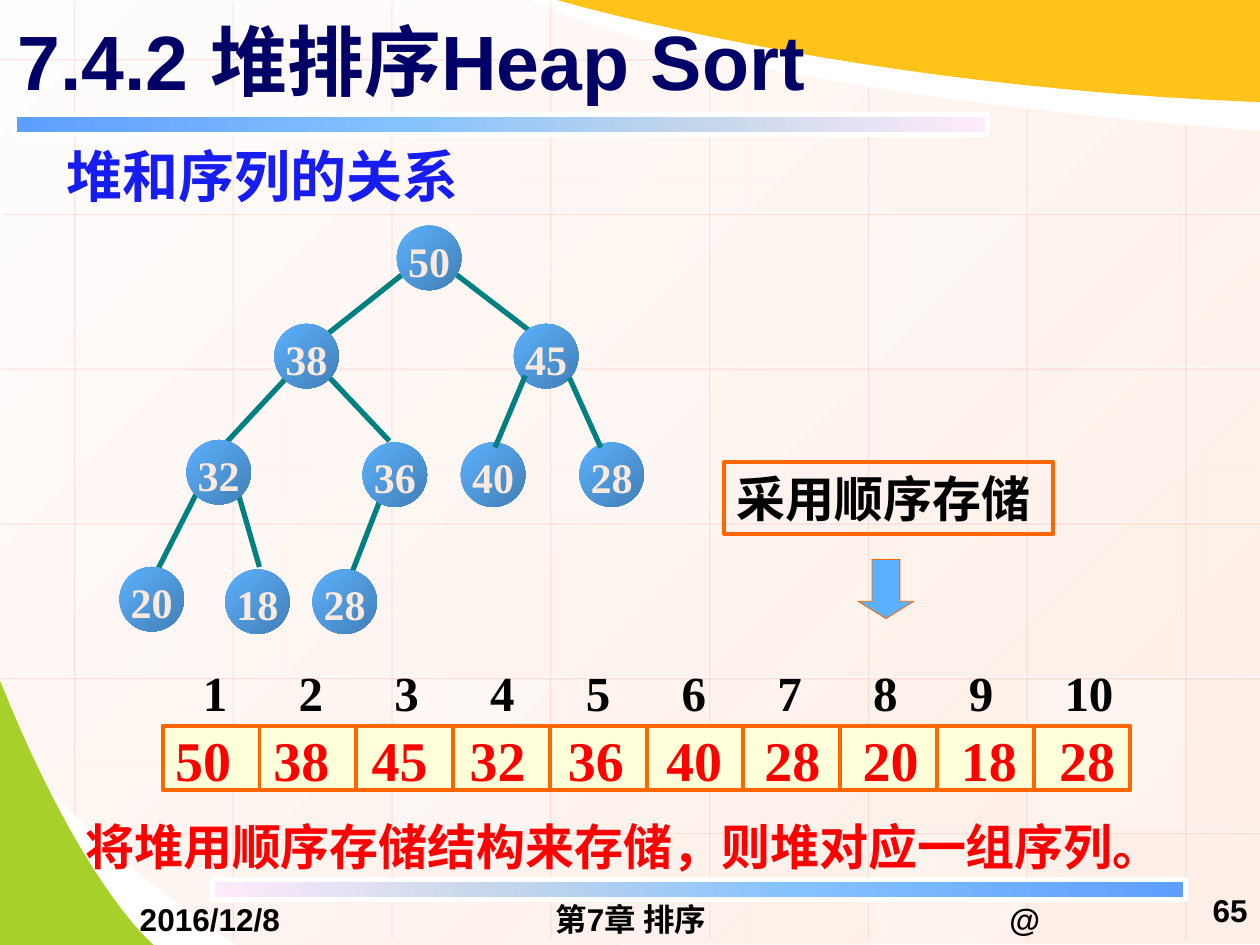
from lxml import etree
from pptx import Presentation
from pptx.dml.color import RGBColor
from pptx.enum.shapes import MSO_CONNECTOR, MSO_SHAPE
from pptx.enum.text import MSO_ANCHOR, PP_ALIGN
from pptx.oxml.ns import qn
from pptx.util import Cm, Pt

RECT, OVAL, DOWN = MSO_SHAPE.RECTANGLE, MSO_SHAPE.OVAL, MSO_SHAPE.DOWN_ARROW
STRAIGHT = MSO_CONNECTOR.STRAIGHT
LEFT, CENTER, RIGHT = PP_ALIGN.LEFT, PP_ALIGN.CENTER, PP_ALIGN.RIGHT
TOP, MIDDLE = MSO_ANCHOR.TOP, MSO_ANCHOR.MIDDLE
SANS, SERIF = "Arial", "Times New Roman"
W, H = 25.4, 19.05

COLORS = {
    "white": "FFFFFF", "black": "000000", "navy": "000066", "blue": "171CEF",
    "red": "FF0000", "orange": "FF6600", "teal": "008080", "cream": "FFFFD9",
    "green": "A8D02A", "gold": "FFC319", "sky": "5CB1FE", "steel": "427FB6",
    "paper": "FFFEFE", "peach": "FEE9DE", "grid_shadow": "FF7575",
    "bar_blue": "5E9EFF", "bar_sky": "85C2FF", "bar_grey": "C4D6EB", "bar_pink": "FFEBFA",
}
BAR_STOPS = [(0, "bar_blue"), (40, "bar_sky"), (70, "bar_grey"), (100, "bar_pink")]


def rgb(name):
    return RGBColor.from_string(COLORS[name])


def add_color(parent, name, alpha=100):
    clr = etree.SubElement(parent, qn("a:srgbClr"), val=COLORS[name])
    if alpha < 100:
        etree.SubElement(clr, qn("a:alpha"), val=str(alpha * 1000))


def set_alpha(sp, percent):
    """Make every colour already set on the shape see-through."""
    for clr in sp._element.spPr.iter(qn("a:srgbClr")):
        etree.SubElement(clr, qn("a:alpha"), val=str(percent * 1000))


def set_gradient(sp, stops, angle=0):
    """Stops are (percent, colour[, alpha]); the angle runs anticlockwise."""
    sp.fill.gradient()
    sp.fill.gradient_angle = angle
    gs_list = sp._element.spPr.find(qn("a:gradFill")).find(qn("a:gsLst"))
    for gs in list(gs_list):
        gs_list.remove(gs)
    for pos, *color in stops:
        add_color(etree.SubElement(gs_list, qn("a:gs"), pos=str(pos * 1000)), *color)


def style(sp, fill=None, line=None, width=2.25):
    sp.shadow.inherit = False
    if fill:
        sp.fill.solid()
        sp.fill.fore_color.rgb = rgb(fill)
    else:
        sp.fill.background()
    if line:
        sp.line.color.rgb = rgb(line)
        sp.line.width = Pt(width)
    else:
        sp.line.fill.background()
    return sp


def add_shape(s, kind, box, **look):
    return style(s.shapes.add_shape(kind, *map(Cm, box)), **look)


def add_line(s, x1, y1, x2, y2, color, width):
    cn = s.shapes.add_connector(STRAIGHT, Cm(x1), Cm(y1), Cm(x2), Cm(y2))
    cn.line.color.rgb = rgb(color)
    cn.line.width = Pt(width)
    etree.SubElement(cn._element.spPr, qn("a:effectLst"))
    return cn


def write(sp, text, size, color, font=SANS, align=LEFT, anchor=TOP,
          insets=(0.25, 0.13, 0.25, 0.13), tab=None, wrap=True):
    """Fill a shape with one bold paragraph; tab is the step of its tab stops."""
    tf = sp.text_frame
    tf.word_wrap, tf.vertical_anchor = wrap, anchor
    tf.margin_left, tf.margin_top, tf.margin_right, tf.margin_bottom = map(Cm, insets)
    p = tf.paragraphs[0]
    p.alignment = align
    if tab:
        tabs = etree.SubElement(p._p.get_or_add_pPr(), qn("a:tabLst"))
        for i in range(1, text.count("\t") + 1):
            etree.SubElement(tabs, qn("a:tab"), pos=str(Cm(tab * i)), algn="l")
    r = p.add_run()
    r.text = text
    r.font.size, r.font.bold, r.font.name = Pt(size), True, font
    r.font.color.rgb = rgb(color)


def add_text(s, box, *args, **kwargs):
    write(s.shapes.add_textbox(*map(Cm, box)), *args, **kwargs)


def curve(p0, p1, p2, p3, steps=24):
    """Points along a cubic Bezier curve."""
    points = []
    for i in range(steps + 1):
        t = i / steps
        weights = ((1 - t) ** 3, 3 * t * (1 - t) ** 2, 3 * t * t * (1 - t), t ** 3)
        points.append(tuple(sum(k * p[axis] for k, p in zip(weights, (p0, p1, p2, p3)))
                            for axis in (0, 1)))
    return points


def add_outline(s, points, fill=None):
    (x, y), *rest = [(Cm(px), Cm(py)) for px, py in points]
    fb = s.shapes.build_freeform(x, y)
    fb.add_line_segments(rest, close=True)
    return style(fb.convert_to_shape(), fill)


def draw_grid(s, left, top, col_step, row_step):
    xs = [left + col_step * i for i in range(8)]
    ys = [top + row_step * i for i in range(6)]
    starts = [0, 0, 0, 0, 1.09, 1.73, 2.16, 2.49]
    lines = [(x, y, x, 16.41 if x == left else 18.9) for x, y in zip(xs, starts)]
    lines += [(1.93 if y == ys[-1] else 0, y, 14.43 if y == top else W, y) for y in ys]
    for ends in lines:
        cn = add_line(s, *ends, "white", 0.75)
        set_alpha(cn, 50)
        shadow = etree.SubElement(cn._element.spPr.find(qn("a:effectLst")), qn("a:outerShdw"),
                                  dist=str(Pt(1.4)), dir="2700000")
        add_color(shadow, "grid_shadow", 33)
    for col, row, alpha in [(3, 2, 25), (6, 4, 30), (0, 3, 20), (5, 5, 20),
                            (2, -1, 40), (2, 4, 30), (5, 1, 30)]:
        y = top + row_step * row
        y1, y2 = max(0, y + 0.06), min(H, y + row_step - 0.06)
        tint = add_shape(s, RECT, (xs[col] + 0.05, y1, col_step - 0.08, y2 - y1), fill="white")
        set_alpha(tint, alpha)


def draw_backdrop(s):
    paper = [(W, 19.02), (4.75, H), *curve((4.75, H), (1.4, 16.76), (0.03, 14.73), (0, 14.73)),
             (0, 0), *curve((10.69, 0), (10.69, 0), (13.64, 1.75), (W, 2.64))]
    set_gradient(add_outline(s, paper), [(0, "paper"), (100, "peach", 70)], 315)
    add_outline(s, [(0, H), *curve((3.1, H), (3.1, H), (1.68, 17.91), (0, 13.72))], "green")
    draw_grid(s, 1.47, 1.17, 3.2, 3.12)
    add_outline(s, [(W, 0), *curve((11.23, 0), (11.23, 0), (17.12, 1.75), (W, 2.06))], "gold")
    mirrored = [(100 - pos, color) for pos, color in reversed(BAR_STOPS)]
    for x, y, stops in [(0.3, 2.31, BAR_STOPS), (4.29, 17.73, mirrored)]:
        set_gradient(add_shape(s, RECT, (x, y, 19.61, 0.41), line="white", width=3), stops)


def draw_footer(s, top):
    for text, x, w in [("2016/12/8", 1.27, 5.92), ("第7章 排序", 8.69, 8.05), ("@", 17.7, 5.92)]:
        add_text(s, (x, top, w, 0.76), text, 18, "black", align=CENTER, anchor=MIDDLE,
                 insets=(0.25, 0, 0.25, 0))
    add_text(s, (23.83, top - 0.42, 1.57, 1.24), "65", 18, "black", align=RIGHT, anchor=MIDDLE)


def draw_title(s, box):
    title = s.shapes.title
    title.left, title.top, title.width, title.height = map(Cm, box)
    write(title, "7.4.2 堆排序Heap Sort", 44, "navy", anchor=MIDDLE)
    s.shapes._spTree.append(title._element)  # above the backdrop


def draw_heap(s, left, top, size):
    nodes = [("50", 5.59, 0), ("38", 3.12, 1.98), ("45", 7.95, 1.98), ("32", 1.35, 4.32),
             ("36", 4.9, 4.37), ("40", 6.88, 4.37), ("28", 9.27, 4.37),
             ("20", 0, 6.88), ("18", 2.13, 6.93), ("28", 3.89, 6.93)]
    edges_behind = [(5.72, 0.97, 4.22, 2.16), (6.73, 0.94, 8.28, 2.13), (3.38, 3.05, 2.06, 4.47),
                    (4.22, 3.05, 5.44, 4.34), (1.57, 5.36, 0.74, 6.99), (2.41, 5.46, 2.82, 6.88),
                    (5.26, 5.51, 4.55, 7.34)]
    edges_front = [(8.18, 3.02, 7.57, 4.47), (9.07, 3.07, 9.7, 4.47)]

    def draw_edges(edges):
        for x1, y1, x2, y2 in edges:
            add_line(s, left + x1, top + y1, left + x2, top + y2, "teal", 3)

    draw_edges(edges_behind)
    for key, x, y in nodes:
        node = add_shape(s, OVAL, (left + x, top + y, size, size))
        set_gradient(node, [(0, "sky"), (100, "steel")], 315)
        write(node, key, 24, "peach", SERIF, CENTER, MIDDLE, insets=(0, 0.1, 0, 0), wrap=False)
    draw_edges(edges_front)


def draw_array(s, left, top, width, height):
    keys = ["50", "38", "45", "32", "36", "40", "28", "20", "18", "28"]
    row = add_shape(s, RECT, (left, top, width, height), fill="cream", line="orange")
    write(row, "\t".join(keys), 32, "red", SERIF, insets=(0.25, 0, 0, 0), tab=1.98)
    for i in range(1, len(keys)):
        x = left + width / len(keys) * i
        add_line(s, x, top, x, top + height, "orange", 2.25)
    add_text(s, (left + 0.56, top - 1.27, width - 0.31, 1.19),
             "\t".join(str(i + 1) for i in range(len(keys))), 28, "black", SERIF,
             insets=(0.25, 0, 0.25, 0), tab=1.93)


def draw_storage_note(s, left, top, width, height):
    note = add_shape(s, RECT, (left, top, width, height), line="orange")
    write(note, "采用顺序存储", 28, "black", SERIF)
    arrow = add_shape(s, DOWN, (left + 2.7, top + 1.96, 1.12, 1.19),
                      fill="sky", line="orange", width=0.5)
    arrow.adjustments[1] = 0.31


def main():
    prs = Presentation()
    prs.slide_width, prs.slide_height = Cm(W), Cm(H)
    s = prs.slides.add_slide(prs.slide_layouts[5])
    draw_backdrop(s)
    draw_title(s, (0.1, -0.08, 22.86, 2.57))
    draw_footer(s, 18.15)
    add_text(s, (1.09, 2.72, 10.13, 1.6), "堆和序列的关系", 32, "blue", SERIF)
    add_text(s, (1.47, 16.33, 23.11, 1.45),
             "将堆用顺序存储结构来存储，则堆对应一组序列。", 28, "red")
    draw_heap(s, 2.41, 4.55, 1.3)
    draw_array(s, 3.28, 14.63, 19.51, 1.3)
    draw_storage_note(s, 14.6, 9.32, 6.63, 1.45)
    prs.save("out.pptx")


if __name__ == "__main__":
    main()
